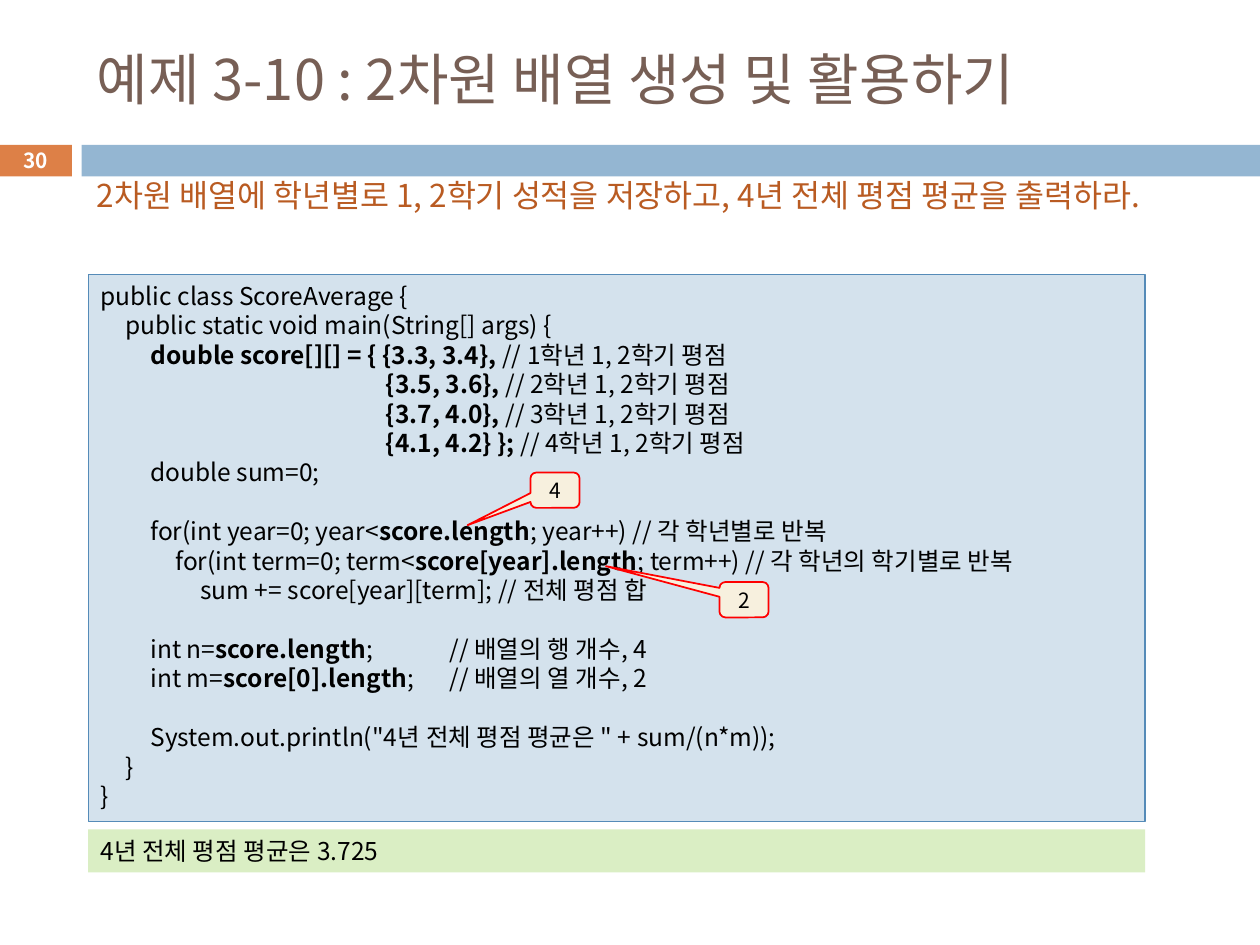
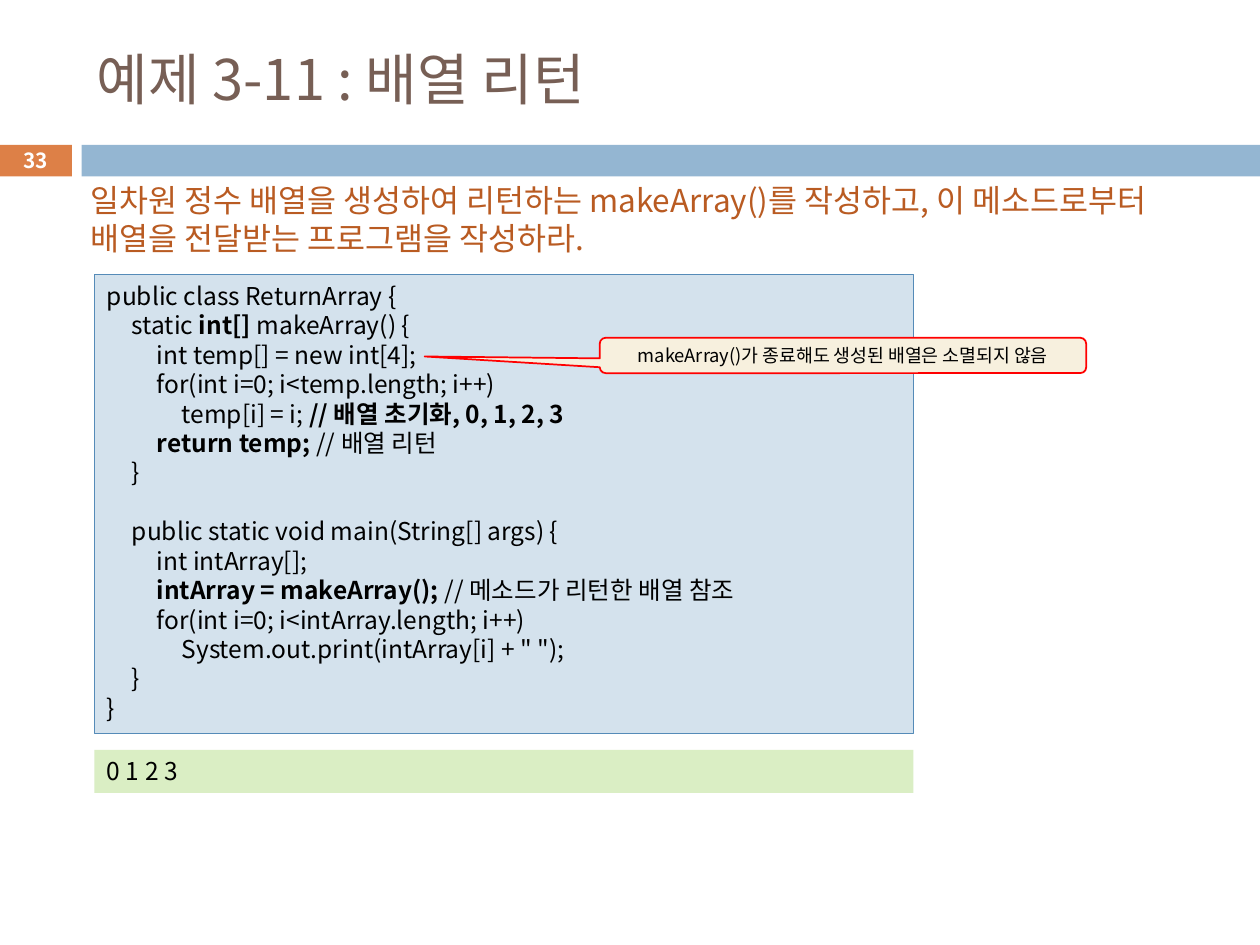
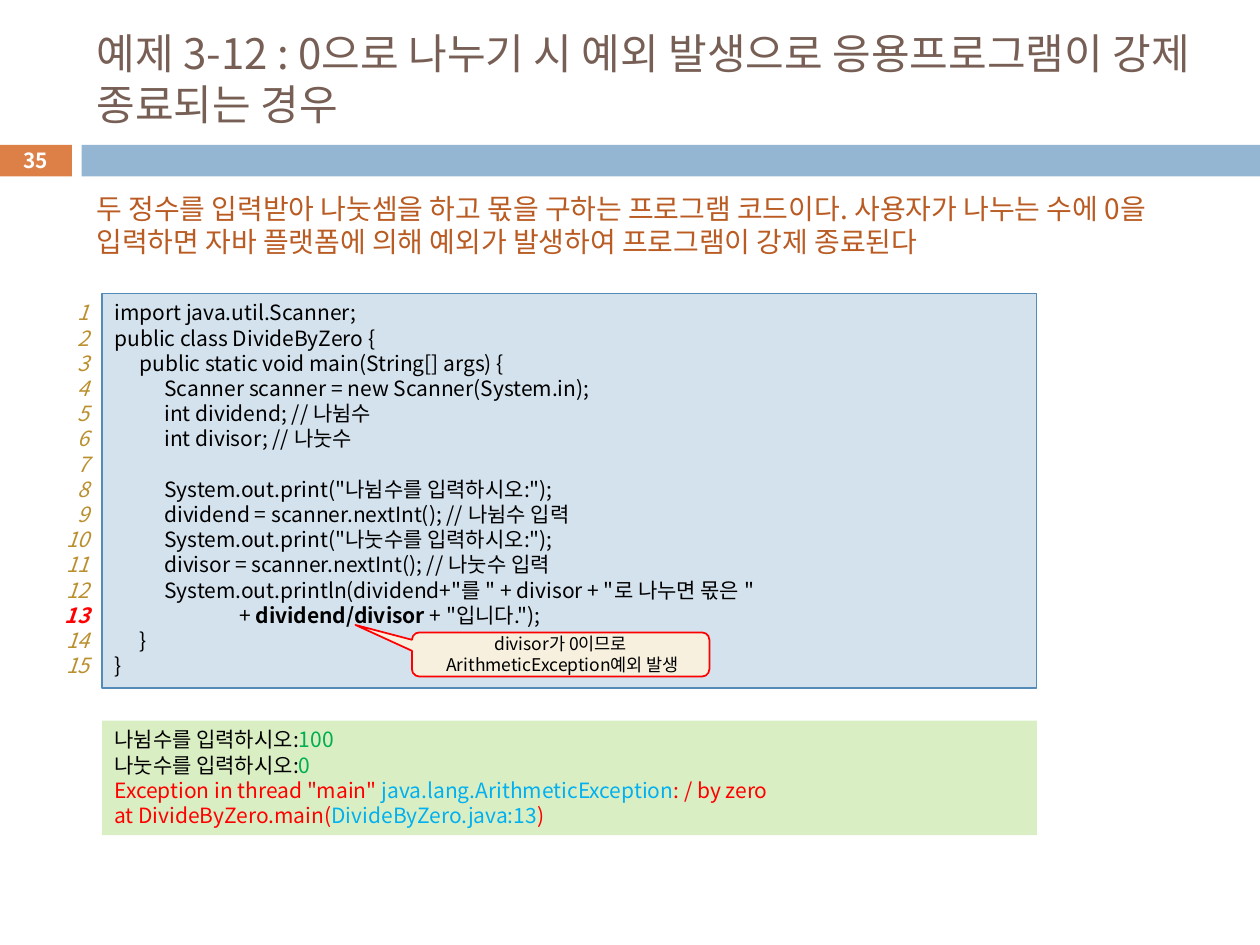
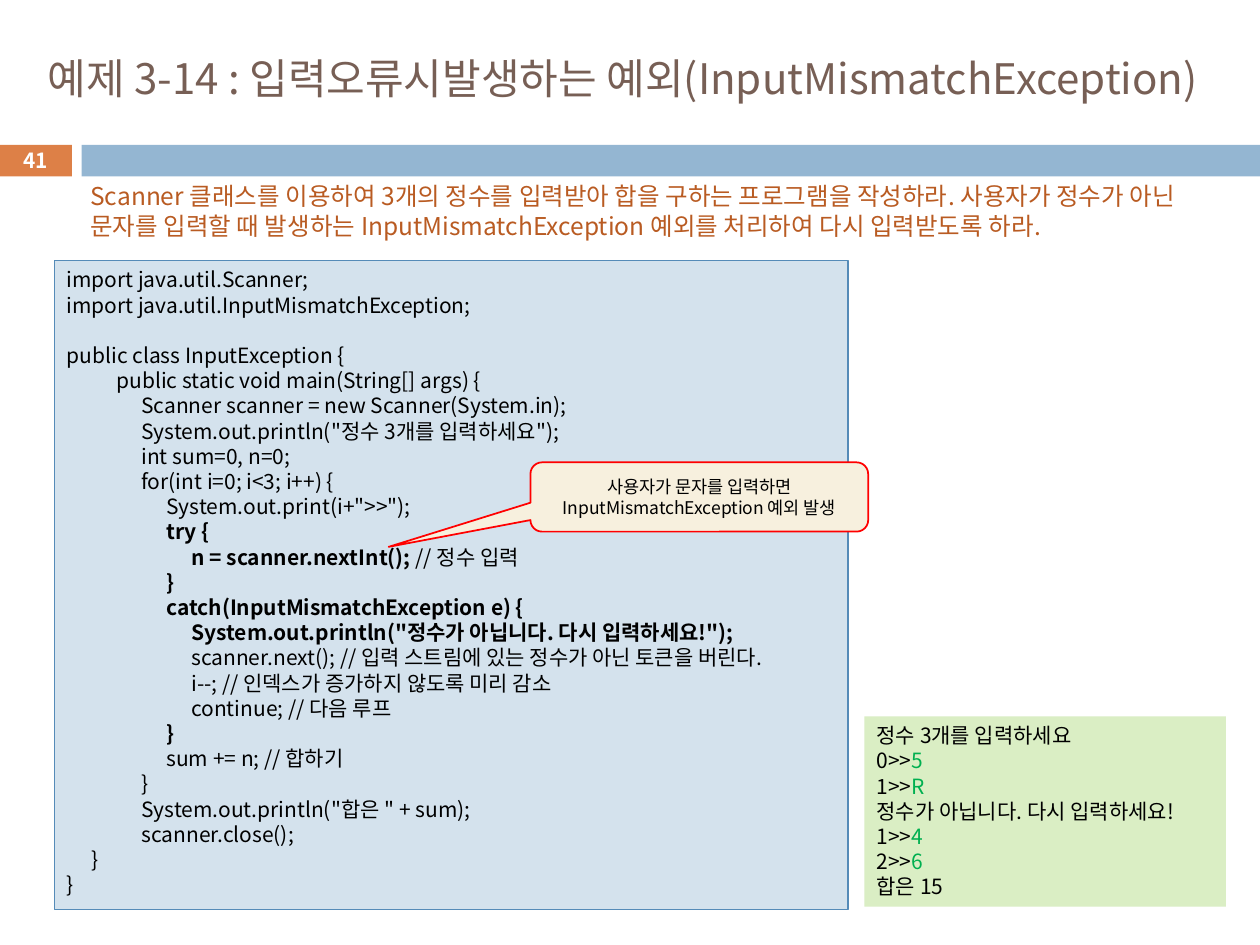
from dataclasses import dataclass
from lxml.etree import SubElement
from pptx import Presentation
from pptx.dml.color import RGBColor
from pptx.enum.shapes import MSO_SHAPE
from pptx.enum.text import MSO_ANCHOR, PP_ALIGN
from pptx.oxml.ns import qn
from pptx.util import Pt


@dataclass(frozen=True)
class Theme:
    font: str = "Noto Sans CJK KR"
    # Colours
    title: str = "775F55"
    badge: str = "DD8047"
    band: str = "94B6D2"
    intro: str = "B95B22"
    ink: str = "000000"
    white: str = "FFFFFF"
    code: str = "D4E2ED"
    edge: str = "558BB8"
    result: str = "DAEEC4"
    note: str = "F7F0DE"
    alert: str = "FF0000"
    entry: str = "00B050"
    link: str = "00B0F0"
    count: str = "BA8F2D"
    # Type sizes and spacing
    large: float = 32
    head: float = 24
    lead: float = 18
    sub: float = 16
    body: float = 14
    small: float = 12
    page: float = 11.9
    hint: float = 10.5
    tiny: float = 10
    ratio: float = 1.2
    tab: float = 14.25
    stops: int = 16


T = Theme()
LEFT, MID, RIGHT = PP_ALIGN.LEFT, PP_ALIGN.CENTER, PP_ALIGN.RIGHT


class Deck:
    def __init__(self, theme):
        self.theme = theme
        self.prs = Presentation()
        self.prs.slide_width, self.prs.slide_height = Pt(720), Pt(540)
        self.slide = None

    # Basic parts
    def shape(self, box, fill, line=None, width=0.75, kind=MSO_SHAPE.RECTANGLE):
        item = self.slide.shapes.add_shape(kind, *map(Pt, box))
        item.shadow.inherit = False
        item.fill.solid()
        item.fill.fore_color.rgb = RGBColor.from_string(fill)
        if line:
            item.line.color.rgb = RGBColor.from_string(line)
            item.line.width = Pt(width)
        else:
            item.line.fill.background()
        return item

    def add_run(self, para, text, size, color, bold=False, italic=False):
        run = para.add_run()
        run.text = text
        font = run.font
        font.size, font.bold, font.italic = Pt(size), bold, italic
        font.color.rgb = RGBColor.from_string(color)
        font.name = self.theme.font
        SubElement(font._element, qn("a:ea"), typeface=self.theme.font)

    def put(self, item, lines, size, align=LEFT, anchor=MSO_ANCHOR.TOP, tabs=False):
        """Each line is a list of (text, colour, bold, italic); an empty line is a gap."""
        frame = item.text_frame
        frame.word_wrap = True
        frame.vertical_anchor = anchor
        step, gap, para = size * self.theme.ratio, 0, None
        for line in lines:
            if not line:
                gap += step
                continue
            para = frame.add_paragraph() if para else frame.paragraphs[0]
            para.alignment = align
            para.line_spacing = Pt(step)
            para.space_before = Pt(gap)
            gap = 0
            if tabs:
                self.stops(para)
            for text, *style in line:
                self.add_run(para, text, size, *style)

    def stops(self, para):
        tabs = SubElement(para._p.get_or_add_pPr(), qn("a:tabLst"))
        for n in range(1, self.theme.stops + 1):
            SubElement(tabs, qn("a:tab"), pos=str(Pt(n * self.theme.tab)), algn="l")

    def text(self, box, lines, size, **kind):
        item = self.slide.shapes.add_textbox(*map(Pt, box))
        self.put(item, lines, size, **kind)

    # Slide frame: bands, title, page number
    def start(self, title, page, size, left=48.2, width=642.2):
        t = self.theme
        self.slide = self.prs.slides.add_slide(self.prs.slide_layouts[6])
        self.shape((-0.5, 82.8, 41.6, 18), t.badge)
        self.shape((46.6, 82.8, 673.4, 18), t.band)
        mid = MSO_ANCHOR.MIDDLE
        self.text((left, 18, width, 53.3), [[(title, t.title)]], size, anchor=mid)
        self.text((-0.5, 81.6, 41.6, 19.4), [[(str(page), t.white, True)]],
                  t.page, align=MID, anchor=mid)

    # Content parts
    def intro(self, box, text, size):
        self.text(box, [[(text, self.theme.intro)]], size)

    def code(self, box, source, size):
        """Bars in the source switch bold on and off."""
        lines = [[(part, self.theme.ink, n % 2 == 1)
                  for n, part in enumerate(line.split("|")) if part]
                 for line in source.strip("\n").split("\n")]
        item = self.shape(box, self.theme.code, self.theme.edge)
        self.put(item, lines, size, tabs=True)

    def result(self, box, lines, size):
        self.put(self.shape(box, self.theme.result), lines, size)

    def note(self, box, tip, lines, size):
        item = self.shape(box, self.theme.note, self.theme.alert, 1,
                          MSO_SHAPE.ROUNDED_RECTANGULAR_CALLOUT)
        item.adjustments[0], item.adjustments[1] = tip
        item.adjustments[2] = 0.167
        self.put(item, [[(line, self.theme.ink)] for line in lines], size,
                 align=MID, anchor=MSO_ANCHOR.MIDDLE)

    def count(self, box, last, hot, size):
        t = self.theme
        lines = [[(str(n), t.alert if n == hot else t.count, n == hot, True)]
                 for n in range(1, last + 1)]
        self.text(box, lines, size, align=RIGHT)


deck = Deck(T)

# Two-dimensional array
deck.start("예제 3-10 : 2차원 배열 생성 및 활용하기", 30, T.large)
row = "\t" * 11 + "  "
deck.code((50.4, 157, 604, 312.5), f"""
public class ScoreAverage {{
\tpublic static void main(String[] args) {{
\t\t|double score[][] = {{ {{3.3, 3.4}},| // 1학년 1, 2학기 평점
{row}|{{3.5, 3.6}}, |// 2학년 1, 2학기 평점
{row}|{{3.7, 4.0}}, |// 3학년 1, 2학기 평점
{row}|{{4.1, 4.2}} }}; |// 4학년 1, 2학기 평점
\t\tdouble sum=0;

\t\tfor(int year=0; year<|score.length|; year++) // 각 학년별로 반복
\t\t\tfor(int term=0; term<|score[year].length|; term++) // 각 학년의 학기별로 반복
\t\t\t\tsum += score[year][term]; // 전체 평점 합

\t\tint n=|score.length|; \t\t\t// 배열의 행 개수, 4
\t\tint m=|score[0].length|; \t\t// 배열의 열 개수, 2

\t\tSystem.out.println("4년 전체 평점 평균은 " + sum/(n*m));
\t}}
}}
""", T.body)
deck.intro((48.2, 97.2, 615.6, 51),
           "2차원 배열에 학년별로 1, 2학기 성적을 저장하고, 4년 전체 평점 평균을 출력하라.", T.lead)
deck.result((50.4, 474, 604, 24.5), [[("4년 전체 평점 평균은 3.725", T.ink)]], T.body)
deck.note((303.1, 270, 28.1, 20.2), (-1.78, 0.99), ["4"], T.small)
deck.note((411.1, 332.6, 28.1, 20.2), (-2.81, -0.95), ["2"], T.small)

# Returning an array
deck.start("예제 3-11 : 배열 리턴", 33, T.large)
deck.code((54, 157, 468, 262), """
public class ReturnArray {
\tstatic |int[] |makeArray() {
\t\tint temp[] = new int[4]; 
\t\tfor(int i=0; i<temp.length; i++)
\t\t\ttemp[i] = i; |// 배열 초기화, 0, 1, 2, 3
\t\t|return temp; |// 배열 리턴
\t}

\tpublic static void main(String[] args) {
\t\tint intArray[]; 
\t\t|intArray = makeArray();| // 메소드가 리턴한 배열 참조
\t\tfor(int i=0; i<intArray.length; i++)
\t\t\tSystem.out.print(intArray[i] + " ");
\t}
}
""", T.body)
deck.intro((44.6, 100.1, 655.2, 51),
           "일차원 정수 배열을 생성하여 리턴하는 makeArray()를 작성하고, "
           "이 메소드로부터 배열을 전달받는 프로그램을 작성하라.", T.lead)
deck.result((54, 428.6, 468, 24.5), [[("0 1 2 3", T.ink)]], T.body)
deck.note((342.7, 193, 278, 20.2), (-0.86, 0.03),
          ["makeArray()가 종료해도 생성된 배열은 소멸되지 않음"], T.hint)

# Division by zero
deck.start("예제 3-12 : 0으로 나누기 시 예외 발생으로 응용프로그램이 강제 종료되는 경우", 35, T.head)
deck.code((58.3, 167.8, 534.2, 225.4), """
import java.util.Scanner;
public class DivideByZero {
\tpublic static void main(String[] args) {
\t\tScanner scanner = new Scanner(System.in);
\t\tint dividend; // 나뉨수
\t\tint divisor; // 나눗수

\t\tSystem.out.print("나뉨수를 입력하시오:");
\t\tdividend = scanner.nextInt(); // 나뉨수 입력
\t\tSystem.out.print("나눗수를 입력하시오:");
\t\tdivisor = scanner.nextInt(); // 나눗수 입력
\t\tSystem.out.println(dividend+"를 " + divisor + "로 나누면 몫은 "
\t\t\t\t\t+ |dividend/divisor| + "입니다.");
\t}
}
""", T.small)
deck.result((58.3, 411.8, 534.2, 65.5), [
    [("나뉨수를 입력하시오:", T.ink), ("100", T.entry)],
    [("나눗수를 입력하시오:", T.ink), ("0", T.entry)],
    [('Exception in thread "main" ', T.alert),
     ("java.lang.ArithmeticException", T.link), (": / by zero", T.alert)],
    [("at DivideByZero.main(", T.alert), ("DivideByZero.java:13", T.link), (")", T.alert)],
], T.small)
deck.note((235.4, 361.4, 170, 25.2), (-0.69, -0.67),
          ["divisor가 0이므로", " ArithmeticException예외 발생"], T.tiny)
deck.intro((48.2, 105.8, 629.3, 46),
           "두 정수를 입력받아 나눗셈을 하고 몫을 구하는 프로그램 코드이다. 사용자가 나누는 수에 "
           "0을 입력하면 자바 플랫폼에 의해 예외가 발생하여 프로그램이 강제 종료된다", T.sub)
deck.count((24.5, 167.8, 33.8, 225.4), 15, 13, T.small)

# Input mismatch
deck.start("예제 3-14 : 입력오류시발생하는 예외(InputMismatchException)", 41, T.head, 20.2, 692)
deck.code((31, 149, 453.6, 370.8), """
import java.util.Scanner;
import java.util.InputMismatchException;

public class InputException {
\t\tpublic static void main(String[] args) {
\t\t\tScanner scanner = new Scanner(System.in);
\t\t\tSystem.out.println("정수 3개를 입력하세요");
\t\t\tint sum=0, n=0;
\t\t\tfor(int i=0; i<3; i++) {
\t\t\t\tSystem.out.print(i+">>");
\t\t\t\t|try {
\t\t\t\t\t|n = scanner.nextInt(); |// 정수 입력
\t\t\t\t|}
|\t\t\t\tcatch(InputMismatchException e) {
\t\t\t\t\t|System.out.println("정수가 아닙니다. 다시 입력하세요!");
\t\t\t\t\tscanner.next(); // 입력 스트림에 있는 정수가 아닌 토큰을 버린다.
\t\t\t\t\ti--; // 인덱스가 증가하지 않도록 미리 감소
\t\t\t\t\tcontinue; // 다음 루프
\t\t\t\t|}
\t\t\t\tsum += n; // 합하기
\t\t\t}
\t\t\tSystem.out.println("합은 " + sum);
\t\t\tscanner.close();
\t}
}
""", T.small)
deck.intro((44.6, 100.1, 655.2, 41),
           "Scanner 클래스를 이용하여 3개의 정수를 입력받아 합을 구하는 프로그램을 작성하라. "
           "사용자가 정수가 아닌 문자를 입력할 때 발생하는 InputMismatchException 예외를 "
           "처리하여 다시 입력받도록 하라.", T.body)
deck.result((493.9, 409.4, 206.6, 108.7), [
    [("정수 3개를 입력하세요", T.ink)],
    [("0>>", T.ink), ("5", T.entry)],
    [("1>>", T.ink), ("R", T.entry)],
    [("정수가 아닙니다. 다시 입력하세요!", T.ink)],
    [("1>>", T.ink), ("4", T.entry)],
    [("2>>", T.ink), ("6", T.entry)],
    [("합은 15", T.ink)],
], T.small)
deck.note((303.1, 264.2, 193, 39.6), (-0.92, 0.72),
          ["사용자가 문자를 입력하면", "InputMismatchException 예외 발생"], T.tiny)

deck.prs.save("out.pptx")
